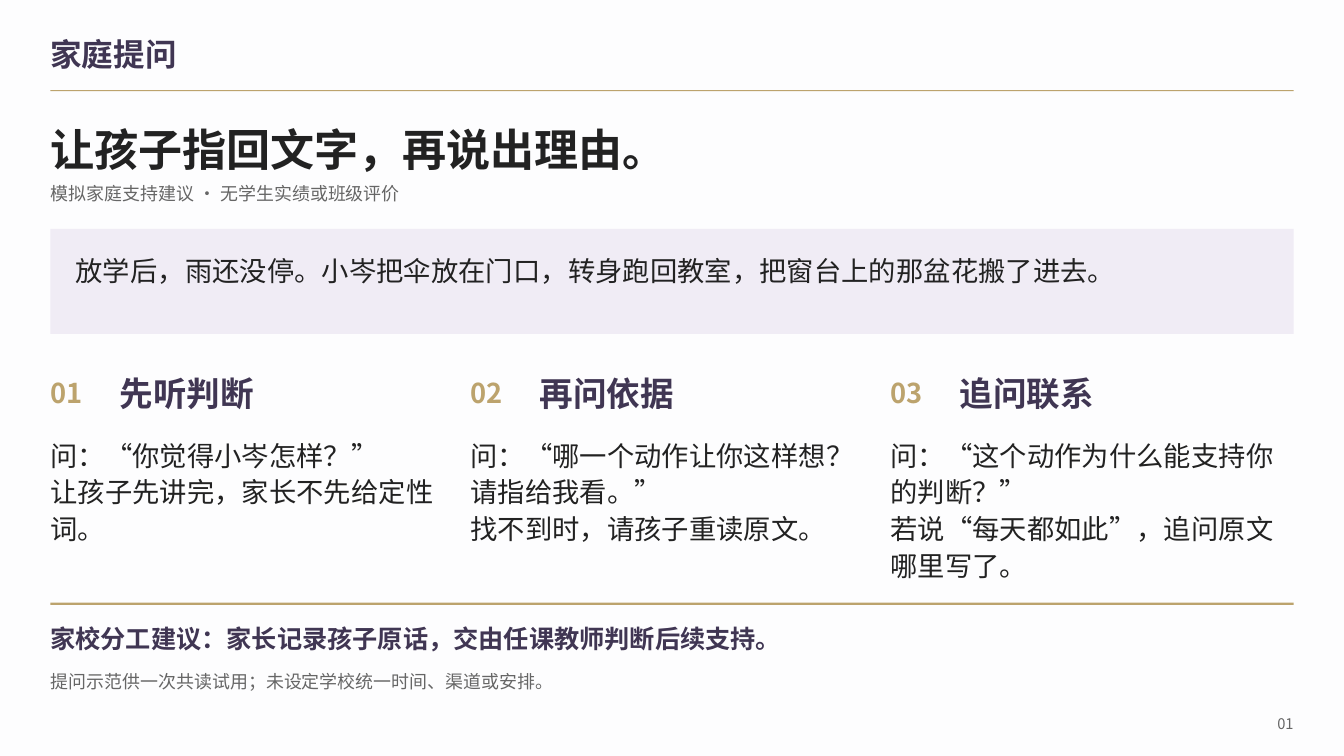
"""Build the family questions slide."""
from pptx import Presentation
from pptx import util as u
from pptx.dml.color import RGBColor
from pptx.enum import shapes, text
from pptx.oxml.ns import qn
from lxml import etree

PAPER = RGBColor(0xFD, 0xFD, 0xFE)
GOLD = RGBColor(0xBC, 0xA3, 0x6D)
PLUM = RGBColor(0x40, 0x36, 0x53)
INK = RGBColor(0x22, 0x22, 0x22)
GREY = RGBColor(0x66, 0x66, 0x66)
LILAC = RGBColor(0xF0, 0xEC, 0xF5)

LEFT, WIDE, PITCH = 48, 1184, 400
STEPS = [
    ("先听判断", 111, ["问：“你觉得小岑怎样？”", "让孩子先讲完，家长不先给定性词。"]),
    ("再问依据", 111, ["问：“哪一个动作让你这样想？请指给我看。”", "找不到时，请孩子重读原文。"]),
    ("追问联系", 146, ["问：“这个动作为什么能支持你的判断？”", "若说“每天都如此”，追问原文哪里写了。"]),
]


class Page:
    FONT = "Noto Sans CJK SC"
    SCALE = 9525

    def __init__(self, deck):
        self.slide = deck.slides.add_slide(deck.slide_layouts[5])
        fill = self.slide.background.fill
        fill.solid()
        fill.fore_color.rgb = PAPER

    def box(self, *nums):
        return [u.Emu(n * self.SCALE) for n in nums]

    def rect(self, x, y, w, h, color):
        shape = self.slide.shapes.add_shape(
            shapes.MSO_SHAPE.RECTANGLE, *self.box(x, y, w, h))
        shape.shadow.inherit = False
        shape.fill.solid()
        shape.fill.fore_color.rgb = color
        shape.line.fill.background()

    def title(self, line, x, y, w, h, size, color, lead):
        shape = self.slide.shapes.title
        shape.left, shape.top, shape.width, shape.height = self.box(x, y, w, h)
        self.fill(shape, [line], size, color, True, lead)

    def text(self, lines, x, y, w, h, size, color, bold=False, lead=None,
             mid=False, right=False):
        shape = self.slide.shapes.add_textbox(*self.box(x, y, w, h))
        self.fill(shape, lines, size, color, bold, lead, mid, right)

    def fill(self, shape, lines, size, color, bold, lead, mid=False, right=False):
        frame = shape.text_frame
        frame.word_wrap = True
        frame.auto_size = text.MSO_AUTO_SIZE.SHAPE_TO_FIT_TEXT
        frame.vertical_anchor = text.MSO_ANCHOR.MIDDLE if mid else text.MSO_ANCHOR.TOP
        frame.margin_left = frame.margin_right = 0
        frame.margin_top = frame.margin_bottom = 0
        for i, line in enumerate(lines):
            para = frame.add_paragraph() if i else frame.paragraphs[0]
            para.alignment = text.PP_ALIGN.RIGHT if right else text.PP_ALIGN.LEFT
            para.space_before = u.Pt(0)
            para.line_spacing = u.Pt(lead) if lead else 1.0
            self.run(para, line, size, color, bold)

    def run(self, para, line, size, color, bold):
        run = para.add_run()
        run.text = line
        font = run.font
        font.name, font.size, font.bold = self.FONT, u.Pt(size), bold
        font.color.rgb = color
        latin = run._r.rPr.find(qn("a:latin"))
        east = etree.Element(qn("a:ea"), typeface=self.FONT)
        latin.addnext(east)


def main():
    deck = Presentation()
    deck.slide_width, deck.slide_height = u.Emu(1280 * Page.SCALE), u.Emu(720 * Page.SCALE)
    page = Page(deck)

    page.rect(LEFT, 86, WIDE, 1, GOLD)
    page.text(["家庭提问"], LEFT, 30, 1010, 43, 22.5, PLUM, True, mid=True)
    page.title("让孩子指回文字，再说出理由。", LEFT, 110, WIDE, 62, 31.5, INK, 42.5)
    page.text(["模拟家庭支持建议 · 无学生实绩或班级评价"],
              LEFT, 171, WIDE, 29, 12.8, GREY, lead=17.2)

    page.rect(LEFT, 218, WIDE, 100, LILAC)
    page.text(["放学后，雨还没停。小岑把伞放在门口，转身跑回教室，把窗台上的那盆花搬了进去。"],
              72, 238, 1136, 41, 19.5, INK, lead=26.3)

    for i, (head, tall, lines) in enumerate(STEPS):
        x = LEFT + i * PITCH
        page.text([f"{i + 1:02}"], x, 354, 60, 41, 19.5, GOLD, True, 26.3)
        page.text([head], x + 66, 350, 300, 49, 24, PLUM, True, 32.4)
        page.text(lines, x, 414, 372, tall, 19.5, INK, lead=26.3)

    page.rect(LEFT, 574, WIDE, 2, GOLD)
    page.text(["家校分工建议：家长记录孩子原话，交由任课教师判断后续支持。"],
              LEFT, 590, WIDE, 38, 18, PLUM, True, 24.3)
    page.text(["提问示范供一次共读试用；未设定学校统一时间、渠道或安排。"],
              LEFT, 636, 1136, 29, 12.8, GREY, lead=17.2)
    page.text(["01"], 1190, 677, 42, 24, 10.5, GREY, mid=True, right=True)
    deck.save("out.pptx")


if __name__ == "__main__":
    main()
